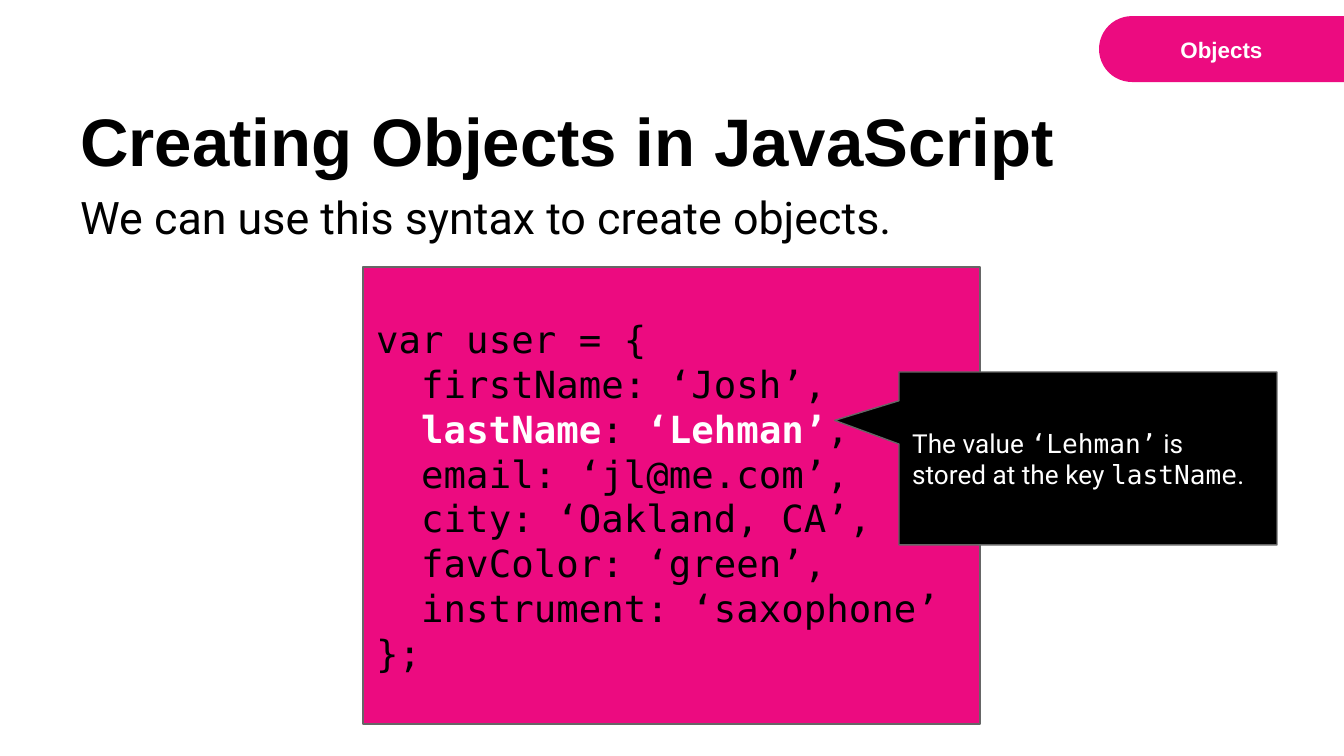
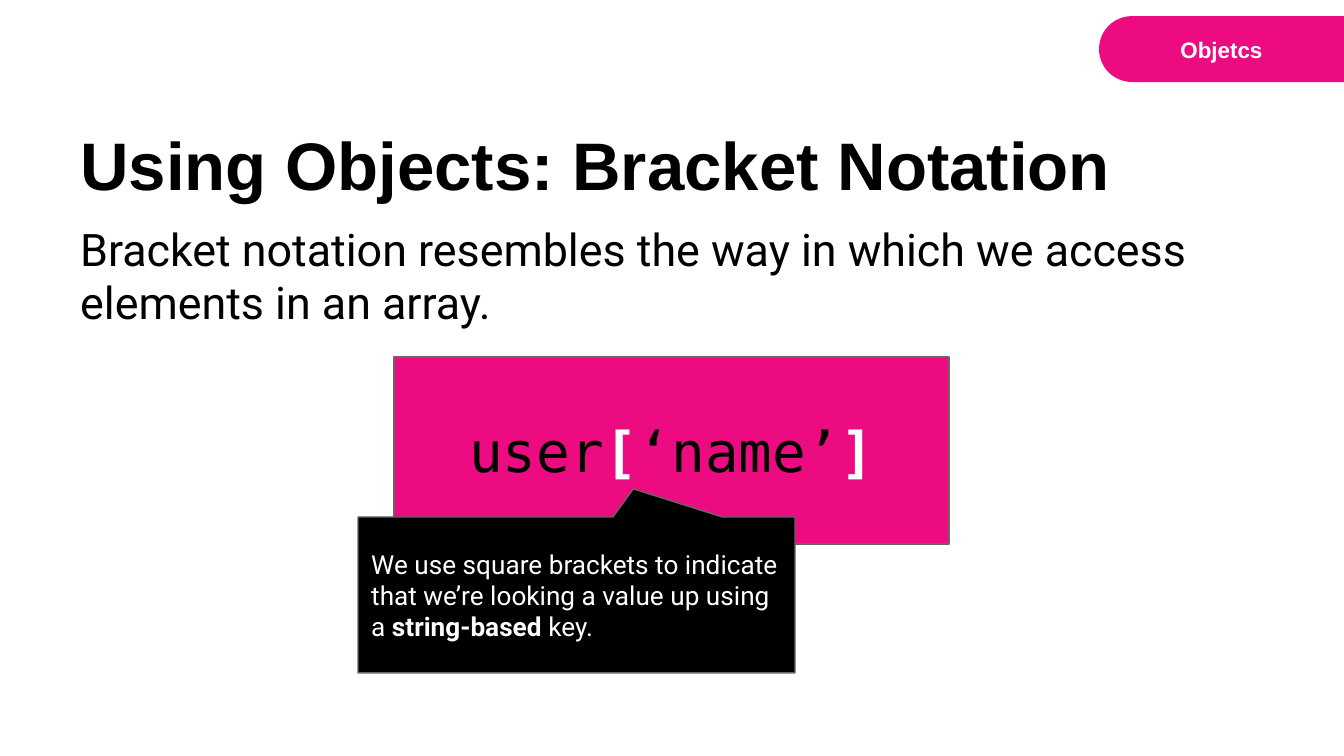
from pptx import Presentation
from pptx import util as u
from pptx.dml.color import RGBColor
from pptx.enum import shapes, text

PINK, BLACK, WHITE, GREY = "EC0B80", "000000", "FFFFFF", "666666"
SANS, BODY, MONO = "Arial", "Roboto", "DejaVu Sans Mono"
KEY = dict(color=WHITE, bold=True)
CODE = dict(font=MONO)
BOLD = dict(bold=True)

SLIDES = [
    dict(
        tab="Objects",
        title="Creating Objects in JavaScript", title_top=67,
        lead="We can use this syntax to create objects.", lead_top=176,
        code=[
            "var user = {",
            "  firstName: ‘Josh’,",
            ["  ", ("lastName", KEY), ": ", ("‘Lehman’", KEY), ","],
            "  email: ‘jl@me.com’,",
            "  city: ‘Oakland, CA’,",
            "  favColor: ‘green’,",
            "  instrument: ‘saxophone’",
            "};",
        ],
        code_box=(363, 267, 617, 457), code_size=20, code_align="LEFT",
        note=["The value ", ("‘Lehman’", CODE), " is stored at the key ",
              ("lastName", CODE), "."],
        note_box=(899, 372, 378, 173), tip=(-0.67, -0.22),
    ),
    dict(
        tab="Objetcs",
        title="Using Objects: Bracket Notation", title_top=91,
        lead="Bracket notation resembles the way in which we access "
             "elements in an array.", lead_top=208,
        code=[["user", ("[", KEY), "‘name’", ("]", KEY)]],
        code_box=(394, 357, 555, 187), code_size=30, code_align="CENTER",
        note=["We use square brackets to indicate that we’re looking "
              "a value up using a ", ("string-based", BOLD), " key."],
        note_box=(358, 517, 437, 156), tip=(0.13, -0.68),
    ),
]


def px(n):
    return u.Emu(round(n * 914400 / 134.4))


def rgb(color):
    return RGBColor.from_string(color)


def write(sp, paragraphs, size, font=BODY, color=BLACK, bold=False,
          align="LEFT", anchor="TOP", grow=False):
    tf = sp.text_frame
    tf.word_wrap = True
    tf.auto_size = (text.MSO_AUTO_SIZE.SHAPE_TO_FIT_TEXT if grow
                    else text.MSO_AUTO_SIZE.NONE)
    tf.vertical_anchor = text.MSO_ANCHOR[anchor]
    tf.margin_left = tf.margin_right = u.Inches(0.1)
    tf.margin_top = tf.margin_bottom = u.Inches(0.1)
    for i, runs in enumerate(paragraphs):
        p = tf.add_paragraph() if i else tf.paragraphs[0]
        p.alignment = text.PP_ALIGN[align]
        for run in [runs] if isinstance(runs, str) else runs:
            words, own = (run, {}) if isinstance(run, str) else run
            fmt = dict(font=font, color=color, bold=bold) | own
            r = p.add_run()
            r.text = words
            r.font.size = u.Pt(size)
            r.font.name = fmt["font"]
            r.font.bold = fmt["bold"]
            r.font.color.rgb = rgb(fmt["color"])


def textbox(s, box, words, size, **fmt):
    write(s.shapes.add_textbox(*map(px, box)), [words], size, **fmt)


def shape(s, kind, box, fill, line=None, adjust=()):
    sp = s.shapes.add_shape(shapes.MSO_SHAPE[kind], *map(px, box))
    sp.shadow.inherit = False
    sp.fill.solid()
    sp.fill.fore_color.rgb = rgb(fill)
    if line:
        sp.line.color.rgb = rgb(line)
        sp.line.width = u.Pt(0.75)
    else:
        sp.line.fill.background()
    for i, value in enumerate(adjust):
        sp.adjustments[i] = value
    return sp


def build(s, d):
    tab = shape(s, "ROUND_2_SAME_RECTANGLE", (1189, -74, 66, 246), PINK,
                adjust=(0.5, 0))
    tab.rotation = 270
    textbox(s, (1106, 23, 231, 54), d["tab"], 12, font=SANS, color=WHITE,
            bold=True, align="CENTER", grow=True)
    textbox(s, (67, d["title_top"], 1210, 126), d["title"], 36, font=SANS,
            bold=True, anchor="BOTTOM")
    textbox(s, (67, d["lead_top"], 1210, 547), d["lead"], 24)
    code = shape(s, "RECTANGLE", d["code_box"], PINK, GREY)
    write(code, d["code"], d["code_size"], font=MONO,
          align=d["code_align"], anchor="MIDDLE")
    note = shape(s, "ROUNDED_RECTANGULAR_CALLOUT", d["note_box"], BLACK, GREY,
                 adjust=(*d["tip"], 0))
    write(note, [d["note"]], 14, color=WHITE, anchor="MIDDLE")


def main():
    prs = Presentation()
    prs.slide_width, prs.slide_height = px(1344), px(756)
    for d in SLIDES:
        build(prs.slides.add_slide(prs.slide_layouts[6]), d)
    prs.save("out.pptx")


if __name__ == "__main__":
    main()
